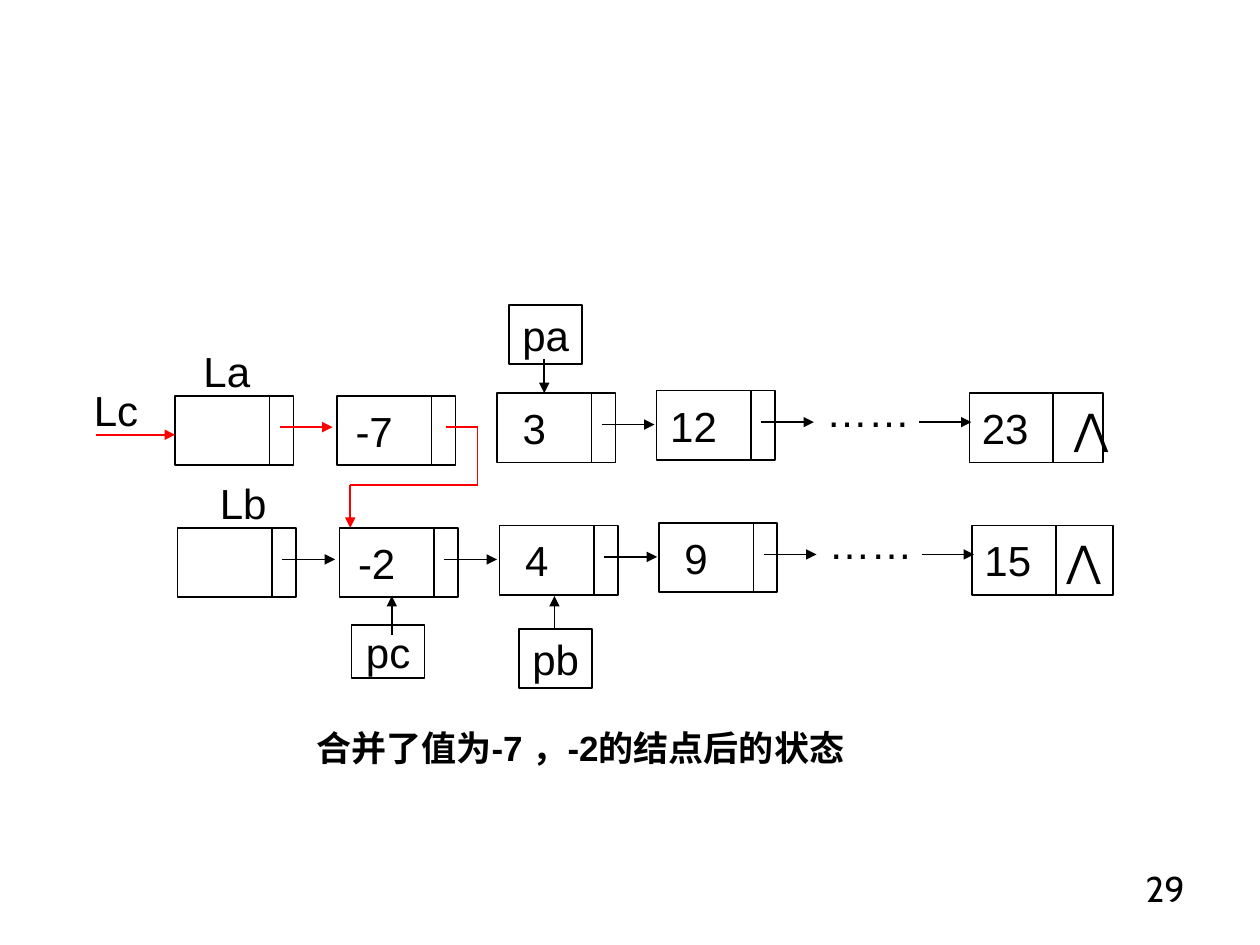
from dataclasses import dataclass
from lxml.etree import SubElement
from pptx import Presentation
from pptx.dml.color import RGBColor
from pptx.enum.shapes import MSO_CONNECTOR, MSO_SHAPE
from pptx.enum.text import MSO_ANCHOR, PP_ALIGN
from pptx.oxml.ns import qn
from pptx.util import Inches, Pt


@dataclass(frozen=True)
class Theme:
    ink: RGBColor = RGBColor(0, 0, 0)
    accent: RGBColor = RGBColor(255, 0, 0)
    font: str = "Arial"
    number_font: str = "Cabin"
    body: float = 24
    caption: float = 20
    number: float = 20.4
    line: float = 1


THEME = Theme()
COLS = 100
UNIT = Inches(10) // COLS
NODE_W, NODE_H, DIVIDER = 9.4, 5.5, 7.5
LINK_START, LINK_END, LINK_Y = 8.3, 12.5, 2.5
NODE_OFFSETS = [(0, 0), (12.85, 0), (25.55, -0.2), (38.2, -0.4)]
DOTS_X, DOTS_W, TAIL_X, TAIL_Y = 49, 12, 63.05, -0.2


def grid(*values):
    return [int(v * UNIT) for v in values]


def write(sp, text, size=THEME.body, font=THEME.font, align=PP_ALIGN.CENTER,
          anchor=MSO_ANCHOR.MIDDLE, bold=False, wrap=False):
    tf = sp.text_frame
    tf.word_wrap = wrap
    tf.vertical_anchor = anchor
    p = tf.paragraphs[0]
    p.text = text
    p.alignment = align
    p.font.size = Pt(size)
    p.font.name = font
    p.font.bold = bold
    p.font.color.rgb = THEME.ink
    return p


def label(s, box, text, **style):
    sp = s.shapes.add_textbox(*grid(*box))
    write(sp, text, **style)


def frame(s, box):
    sp = s.shapes.add_shape(MSO_SHAPE.RECTANGLE, *grid(*box))
    sp.shadow.inherit = False
    sp.fill.background()
    sp.line.color.rgb = THEME.ink
    sp.line.width = Pt(THEME.line)
    return sp


def line(s, start, end, color=THEME.ink, arrow=False):
    c = s.shapes.add_connector(MSO_CONNECTOR.STRAIGHT, *grid(*start, *end))
    c.line.color.rgb = color
    c.line.width = Pt(THEME.line)
    if arrow:
        SubElement(c.line._get_or_add_ln(), qn("a:tailEnd"), type="triangle")
    SubElement(c._element.spPr, qn("a:effectLst"))


def node(s, x, y, w=NODE_W):
    sp = frame(s, (x, y, w, NODE_H))
    divider = x + (DIVIDER if w == NODE_W else 6.65)
    line(s, (divider, y), (divider, y + NODE_H))
    return sp


def link(s, x, y, color=THEME.ink):
    line(s, (x + LINK_START, y + LINK_Y), (x + LINK_END, y + LINK_Y), color, True)


def chain(s, box, name, name_x, values, link_colors, tail, tab):
    left, top = box
    label(s, (left + name_x - 3.4, top - 4.5, 6.8, 5), name)
    for (dx, dy), value, color in zip(NODE_OFFSETS, values, link_colors):
        x, y = left + dx, top + dy
        sp = node(s, x, y)
        if value:
            write(sp, value)
            sp.text_frame.margin_left = 0
            sp.text_frame.margin_right = grid(3.5)[0]
        if color is not None:
            link(s, x, y, color)
    y = top - 0.4
    label(s, (left + DOTS_X, top - 1.55, DOTS_W, NODE_H), "……")
    line(s, (left + 59.05, y + LINK_Y), (left + 63.2, y + LINK_Y), arrow=True)
    width, text = tail
    sp = node(s, left + TAIL_X, top + TAIL_Y, width)
    p = write(sp, text, align=PP_ALIGN.LEFT)
    stops = SubElement(p._p.get_or_add_pPr(), qn("a:tabLst"))
    SubElement(stops, qn("a:tab"), pos=str(grid(tab)[0]), algn="l")


def pointer(s, box, name, arrow_x, start_y, end_y):
    x, y, w, h = box
    write(frame(s, box), name)
    line(s, (x + arrow_x, y + start_y), (x + arrow_x, y + end_y), arrow=True)


def merged_path(s, box):
    x, y, w, h = box
    label(s, (6.3, 30.4, 5.8, 4.2), "Lc")
    line(s, (7.6, 34.5), (13.9, 34.5), THEME.accent, True)
    points = [(x + w - 2.5, y), (x + w, y), (x + w, y + 4.6), (x, y + 4.6), (x, y + h)]
    for i, (start, end) in enumerate(zip(points, points[1:]), 1):
        line(s, start, end, THEME.accent, arrow=i == len(points) - 1)


def footer(s):
    label(s, (16.9, 57, 58.3, 4.7), "合并了值为-7 ，-2的结点后的状态",
          size=THEME.caption, bold=True, wrap=True)
    label(s, (71.7, 68.3, 23.3, 5), "29", size=THEME.number, font=THEME.number_font,
          align=PP_ALIGN.RIGHT, anchor=MSO_ANCHOR.TOP, wrap=True)


def main():
    prs = Presentation()
    prs.slide_width, prs.slide_height = Inches(10), Inches(7.5)
    s = prs.slides.add_slide(prs.slide_layouts[6])
    ink, accent = THEME.ink, THEME.accent
    chain(s, (13.9, 31.4), "La", 4.1, ["", "-7", "3", "12"],
          [accent, None, ink, ink], (10.6, "23\t⋀"), 7.3)
    chain(s, (14.1, 41.9), "Lb", 5.2, ["", "-2", "4", "9"],
          [ink] * 4, (11.2, "15\t⋀"), 6.5)
    pointer(s, (40.4, 24.2, 5.8, 4.7), "pa", 2.8, 4.3, 7)
    pointer(s, (27.9, 49.6, 5.8, 4.2), "pc", 3.2, 0.8, -2.3)
    pointer(s, (41.2, 49.9, 5.8, 4.7), "pb", 2.8, 0.1, -2.6)
    merged_path(s, (27.8, 33.9, 10.1, 8))
    footer(s)
    prs.save("out.pptx")


if __name__ == "__main__":
    main()
